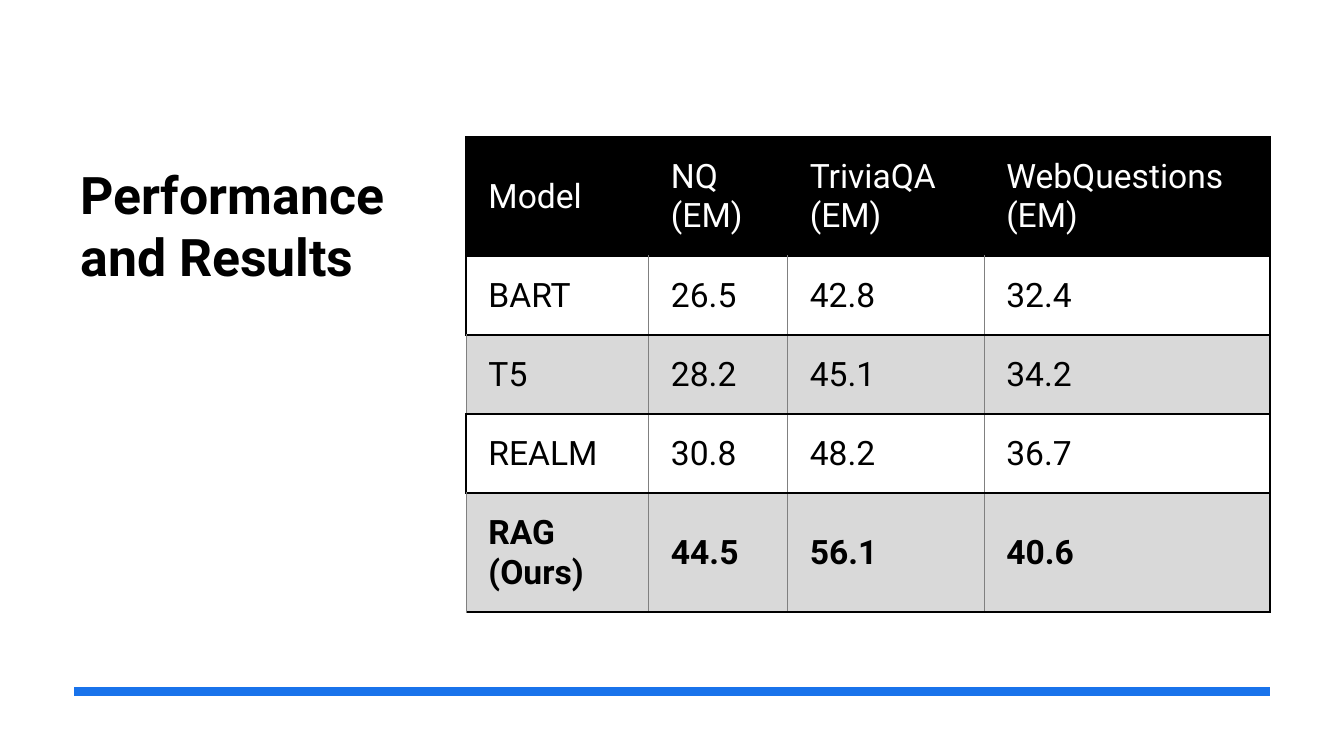
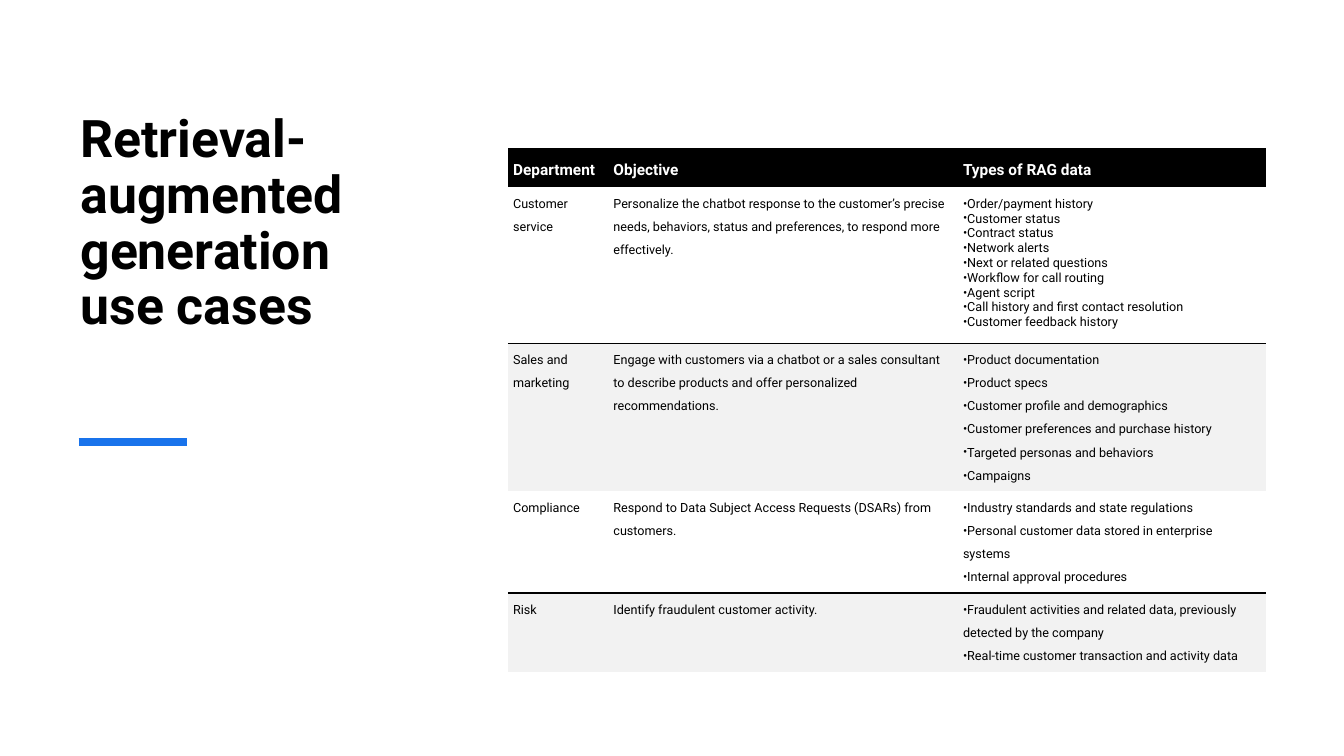
import pptx
import pptx.dml.color
import pptx.enum.shapes
import pptx.enum.text
import pptx.oxml.ns
import pptx.util
from lxml import etree

Cm = pptx.util.Cm
Pt = pptx.util.Pt
ANCHOR = pptx.enum.text.MSO_ANCHOR

# Shared look
COLORS = {
    "black": "000000",
    "white": "FFFFFF",
    "accent": "1973EB",
    "grid": "808080",
    "result_band": "D9D9D9",
    "use_case_band": "F2F2F2",
}
FONT = "Roboto"
TITLE_FONT = {"name": FONT, "size": Pt(37), "bold": True}
MARGIN_LEFT = 1.78
BAR_WIDTH = Pt(6)

# Table content
RESULTS = [
    ["Model", "NQ (EM)", "TriviaQA (EM)", "WebQuestions (EM)"],
    ["BART", "26.5", "42.8", "32.4"],
    ["T5", "28.2", "45.1", "34.2"],
    ["REALM", "30.8", "48.2", "36.7"],
    ["RAG (Ours)", "44.5", "56.1", "40.6"],
]
# A list inside a cell becomes bulleted paragraphs
USE_CASES = [
    ["Department", "Objective", "Types of RAG data"],
    ["Customer service",
     "Personalize the chatbot response to the customer’s precise needs, "
     "behaviors, status and preferences, to respond more effectively.",
     ["Order/payment history", "Customer status", "Contract status",
      "Network alerts", "Next or related questions",
      "Workflow for call routing", "Agent script",
      "Call history and first contact resolution",
      "Customer feedback history"]],
    ["Sales and marketing",
     "Engage with customers via a chatbot or a sales consultant to describe "
     "products and offer personalized recommendations.",
     ["Product documentation", "Product specs",
      "Customer profile and demographics",
      "Customer preferences and purchase history",
      "Targeted personas and behaviors", "Campaigns"]],
    ["Compliance",
     "Respond to Data Subject Access Requests (DSARs) from customers.",
     ["Industry standards and state regulations",
      "Personal customer data stored in enterprise systems",
      "Internal approval procedures"]],
    ["Risk",
     "Identify fraudulent customer activity.",
     ["Fraudulent activities and related data, previously detected by the "
      "company",
      "Real-time customer transaction and activity data"]],
]


def rgb(name):
    return pptx.dml.color.RGBColor.from_string(COLORS[name])


def apply_format(target, values):
    for attribute, value in values.items():
        setattr(target, attribute, value)


def add_run(paragraph, text, font_values, color):
    run = paragraph.add_run()
    run.text = text
    apply_format(run.font, font_values)
    run.font.color.rgb = rgb(color)


def add_title(slide, text, top, width, height, line_spacing=1.0):
    shape = slide.shapes.add_textbox(
        Cm(MARGIN_LEFT), Cm(top), Cm(width), Cm(height))
    apply_format(shape.text_frame,
                 {"word_wrap": True, "vertical_anchor": ANCHOR.TOP})
    paragraph = shape.text_frame.paragraphs[0]
    paragraph.line_spacing = line_spacing
    add_run(paragraph, text, TITLE_FONT, "black")


def add_accent_bar(slide, left, right, y):
    connector = slide.shapes.add_connector(
        pptx.enum.shapes.MSO_CONNECTOR.STRAIGHT,
        Cm(left), Cm(y), Cm(right), Cm(y))
    connector.line.color.rgb = rgb("accent")
    connector.line.width = BAR_WIDTH
    etree.SubElement(connector._element.spPr,
                     pptx.oxml.ns.qn("a:effectLst"))


def add_bullet(paragraph):
    properties = paragraph._p.get_or_add_pPr()
    properties.set("marL", "0")
    properties.set("indent", "0")
    etree.SubElement(properties, pptx.oxml.ns.qn("a:buFont"), typeface=FONT)
    etree.SubElement(properties, pptx.oxml.ns.qn("a:buChar"), char="•")


def set_borders(cell, edges):
    """Draw the edges given as {side: (color, points)}; hide the others."""
    properties = cell._tc.get_or_add_tcPr()
    for side in "LRTB":
        line = etree.SubElement(properties, pptx.oxml.ns.qn(f"a:ln{side}"))
        if side not in edges:
            etree.SubElement(line, pptx.oxml.ns.qn("a:noFill"))
            continue
        color, points = edges[side]
        line.set("w", str(Pt(points)))
        fill = etree.SubElement(line, pptx.oxml.ns.qn("a:solidFill"))
        etree.SubElement(fill, pptx.oxml.ns.qn("a:srgbClr"),
                         val=COLORS[color])


def set_fill(cell, color):
    if color is None:
        cell.fill.background()
    else:
        cell.fill.solid()
        cell.fill.fore_color.rgb = rgb(color)


def fill_cell_text(cell, content, font_values, color, pitch, list_pitch):
    bulleted = isinstance(content, list)
    for index, text in enumerate(content if bulleted else [content]):
        frame = cell.text_frame
        paragraph = frame.add_paragraph() if index else frame.paragraphs[0]
        paragraph.line_spacing = list_pitch if index else pitch
        if bulleted:
            add_bullet(paragraph)
        add_run(paragraph, text, font_values, color)


def add_styled_table(slide, rows, left, top, widths, heights, style):
    table = slide.shapes.add_table(
        len(rows), len(widths), Cm(left), Cm(top),
        Cm(sum(widths)), Cm(sum(heights))).table
    apply_format(table, {"first_row": False, "horz_banding": False})
    for column, width in zip(table.columns, widths):
        column.width = Cm(width)
    for row, height in zip(table.rows, heights):
        row.height = Cm(height)

    for row_index, row in enumerate(rows):
        header = row_index == 0
        banded = not header and row_index % 2 == 0
        font_values = {
            "name": FONT,
            "size": Pt(style["header_size"] if header
                       else style["body_size"]),
            "bold": row_index in style["bold_rows"],
        }
        margins = style["header_margins"] if header else style["body_margins"]
        list_pitch = (1.0 if row_index in style["compact_rows"]
                      else style["pitch"])
        for column_index, content in enumerate(row):
            cell = table.cell(row_index, column_index)
            set_borders(cell, style["edges"](
                row_index, column_index, len(widths) - 1))
            set_fill(cell, "black" if header
                     else style["band"] if banded else None)
            apply_format(cell, {
                "margin_left": Cm(margins[0]),
                "margin_top": Cm(margins[1]),
                "margin_right": Cm(margins[2]),
                "margin_bottom": Cm(margins[3]),
                "vertical_anchor": (ANCHOR.MIDDLE if header
                                    else style["body_anchor"]),
            })
            fill_cell_text(cell, content, font_values,
                           "white" if header else "black",
                           style["pitch"], list_pitch)


# Border rules
def result_edges(row, column, last_column):
    strong, thin = ("black", 1.5), ("grid", 0.5)
    if row == 0:
        return dict.fromkeys("LRTB", strong)
    return {
        "L": strong if column == 0 and row % 2 else thin,
        "R": strong if column == last_column else thin,
        "T": strong,
        "B": strong,
    }


def use_case_edges(row, column, last_column):
    rule = ("black", 1)
    if row == 0:
        return {}
    return {"B": rule} if row % 2 else {"T": rule}


RESULT_STYLE = {
    "header_size": 24, "body_size": 24, "bold_rows": {4},
    "compact_rows": set(), "pitch": 1.0,
    "header_margins": (0.56, 0.43, 0.53, 0.43),
    "body_margins": (0.56, 0.43, 0.53, 0.43),
    "body_anchor": ANCHOR.MIDDLE,
    "band": "result_band", "edges": result_edges,
}
USE_CASE_STYLE = {
    "header_size": 11, "body_size": 9, "bold_rows": {0},
    "compact_rows": {1}, "pitch": Pt(16.5),
    "header_margins": (0.13, 0.2, 0.1, 0.2),
    "body_margins": (0.13, 0.03, 0.1, 0.2),
    "body_anchor": ANCHOR.TOP,
    "band": "use_case_band", "edges": use_case_edges,
}


# Slides
def add_results_slide(slide):
    add_title(slide, "Performance and Results", 3.97, 8.28, 3.96)
    add_accent_bar(slide, 1.87, 32, 17.42)
    add_styled_table(slide, RESULTS, 11.75, 3.45,
                     [4.6, 3.5, 4.95, 7.21],
                     [3.01, 1.99, 1.99, 1.99, 3], RESULT_STYLE)


def add_use_cases_slide(slide):
    add_title(slide, "Retrieval-augmented generation use cases",
              2.71, 8.76, 6, line_spacing=0.9)
    add_accent_bar(slide, 1.98, 4.7, 11.14)
    add_styled_table(slide, USE_CASES, 12.8, 3.73,
                     [2.53, 8.81, 7.77],
                     [0.98, 3.94, 3.73, 2.56, 1.98], USE_CASE_STYLE)


def main():
    presentation = pptx.Presentation()
    presentation.slide_width = Cm(33.87)
    presentation.slide_height = Cm(19.05)
    blank_layout = presentation.slide_layouts[6]
    for build in (add_results_slide, add_use_cases_slide):
        build(presentation.slides.add_slide(blank_layout))
    presentation.save("out.pptx")


if __name__ == "__main__":
    main()
